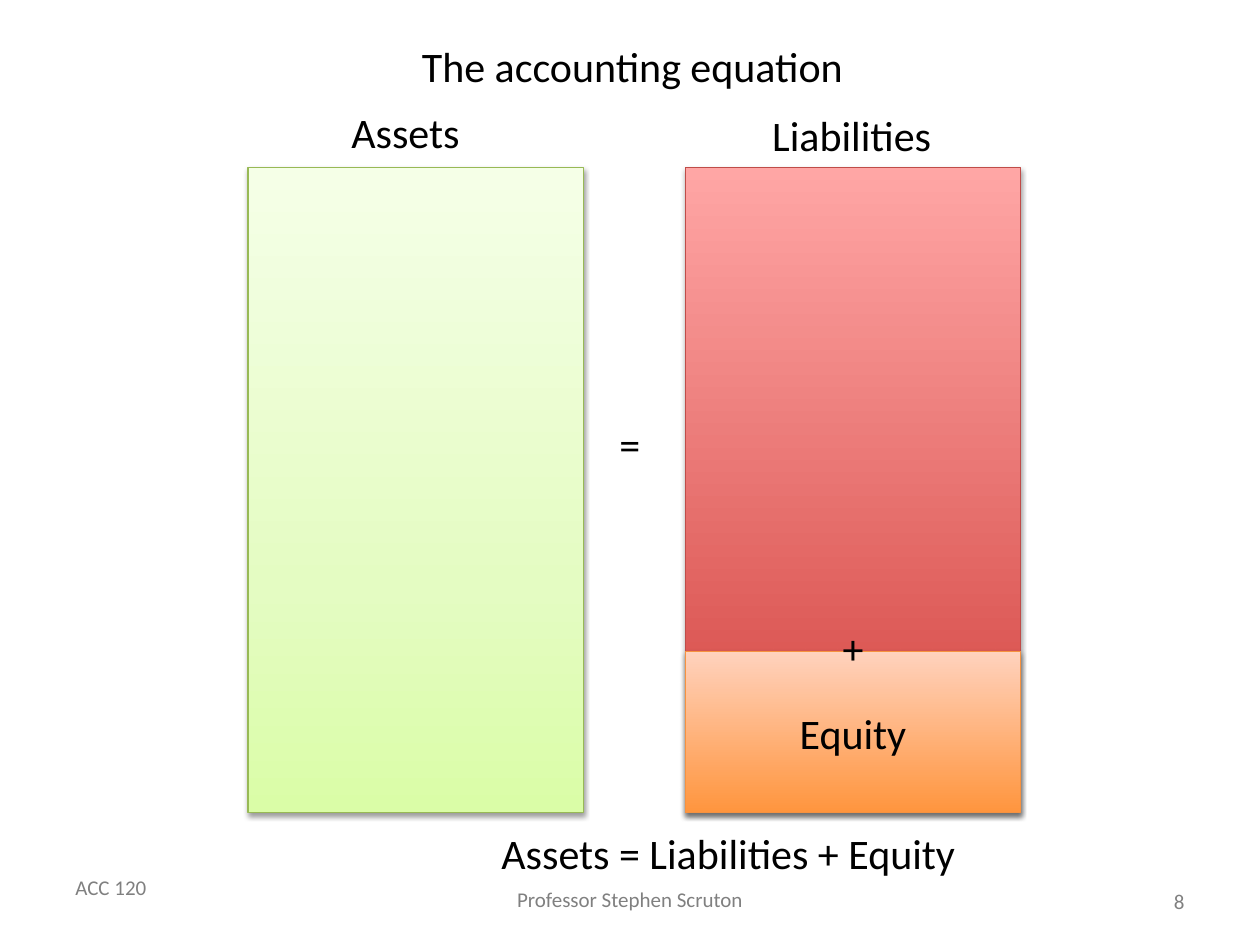
from pptx import Presentation
from pptx.dml.color import RGBColor
from pptx.enum.shapes import MSO_SHAPE as Shape
from pptx.enum.text import MSO_ANCHOR as Anchor, PP_ALIGN as Align
from pptx.oxml import parse_xml
from pptx.oxml.ns import nsdecls, qn
from pptx.util import Pt

COLORS = {
    "text": "000000",
    "footer": "808080",
    "shadow": "000000",
    "assets_line": "98B955",
    "liabilities_line": "BF4C48",
    "equity_line": "F69240",
}
GRADIENTS = {
    "liabilities": [(0, "D1403C"), (100, "FFA6A5")],
    "assets": [(0, "DAFDA7"), (35, "E4FCC2"), (100, "F5FFE7")],
    "equity": [(0, "FF953E"), (100, "FFD2BD")],
}
FONT = "Calibri"
LABEL_SIZE, FOOTER_SIZE = 24, 12

BAR_TOP, BAR_WIDTH, BAR_HEIGHT = 95.8, 191.5, 368.6
ASSETS_LEFT, CLAIMS_LEFT = 141.8, 391.7
EQUITY_HEIGHT = BAR_HEIGHT / 4
EQUITY_TOP = BAR_TOP + BAR_HEIGHT - EQUITY_HEIGHT
LABEL_HEIGHT = 50.4

BARS = [
    ("liabilities", CLAIMS_LEFT, BAR_TOP, BAR_HEIGHT, 35, 1.8),
    ("assets", ASSETS_LEFT, BAR_TOP, BAR_HEIGHT, 38, 1.6),
    ("equity", CLAIMS_LEFT, EQUITY_TOP, EQUITY_HEIGHT, 35, 1.8),
]
CENTERED_LABELS = [
    ("The accounting equation", 55.4, 12.2, 612),
    ("=", 264.2, 228.2, BAR_WIDTH),
    ("Equity", CLAIMS_LEFT, 393.8, BAR_WIDTH),
    ("+", CLAIMS_LEFT, 344.9, BAR_WIDTH),
    ("Liabilities", 387.4, 51.8, 198.7),
]
FITTED_LABELS = [
    ("Assets", 193.7, 57.6, 77),
    ("Assets = Liabilities + Equity", 279.4, 469.4, 277.2),
]
FOOTERS = [
    ("ACC 120", 36, 496.1, 55.4, 21.6, Align.LEFT, Anchor.TOP, False),
    ("Professor Stephen Scruton", 287.3, 503.3, 145.4, 21.6, Align.CENTER, Anchor.TOP, False),
    ("8", 516.2, 500.4, 167.8, 28.8, Align.RIGHT, Anchor.MIDDLE, True),
]


def add_bar(slide, account, left, top, height, shadow_alpha, shadow_distance):
    bar = slide.shapes.add_shape(Shape.RECTANGLE, Pt(left), Pt(top), Pt(BAR_WIDTH), Pt(height))
    bar.line.color.rgb = RGBColor.from_string(COLORS[f"{account}_line"])
    bar.line.width = Pt(0.75)
    bar.fill.gradient()
    stops = "".join(
        f'<a:gs pos="{position * 1000}"><a:srgbClr val="{color}"/></a:gs>'
        for position, color in GRADIENTS[account]
    )
    properties = bar._element.spPr
    properties.replace(properties.find(qn("a:gradFill")), parse_xml(
        f'<a:gradFill {nsdecls("a")} rotWithShape="1"><a:gsLst>{stops}</a:gsLst>'
        '<a:lin ang="16200000" scaled="0"/></a:gradFill>'
    ))
    bar.shadow.inherit = False
    properties.find(qn("a:effectLst")).append(parse_xml(
        f'<a:outerShdw {nsdecls("a")} blurRad="{Pt(3.1)}" dist="{Pt(shadow_distance)}" '
        f'dir="5400000" rotWithShape="0"><a:srgbClr val="{COLORS["shadow"]}">'
        f'<a:alpha val="{shadow_alpha * 1000}"/></a:srgbClr></a:outerShdw>'
    ))


def add_text(slide, words, left, top, width, height, align, anchor, wrap,
             size=LABEL_SIZE, color="text"):
    frame = slide.shapes.add_textbox(Pt(left), Pt(top), Pt(width), Pt(height)).text_frame
    frame.word_wrap = wrap
    frame.vertical_anchor = anchor
    paragraph = frame.paragraphs[0]
    paragraph.text = words
    paragraph.alignment = align
    paragraph.font.name = FONT
    paragraph.font.size = Pt(size)
    paragraph.font.color.rgb = RGBColor.from_string(COLORS[color])


def main():
    deck = Presentation()
    deck.slide_width, deck.slide_height = Pt(720), Pt(540)
    slide = deck.slides.add_slide(deck.slide_layouts[6])
    for footer in FOOTERS:
        add_text(slide, *footer, size=FOOTER_SIZE, color="footer")
    for bar in BARS:
        add_bar(slide, *bar)
    for label in CENTERED_LABELS:
        add_text(slide, *label, LABEL_HEIGHT, Align.CENTER, Anchor.MIDDLE, True)
    for label in FITTED_LABELS:
        add_text(slide, *label, 36, Align.LEFT, Anchor.TOP, False)
    deck.save("out.pptx")


if __name__ == "__main__":
    main()
